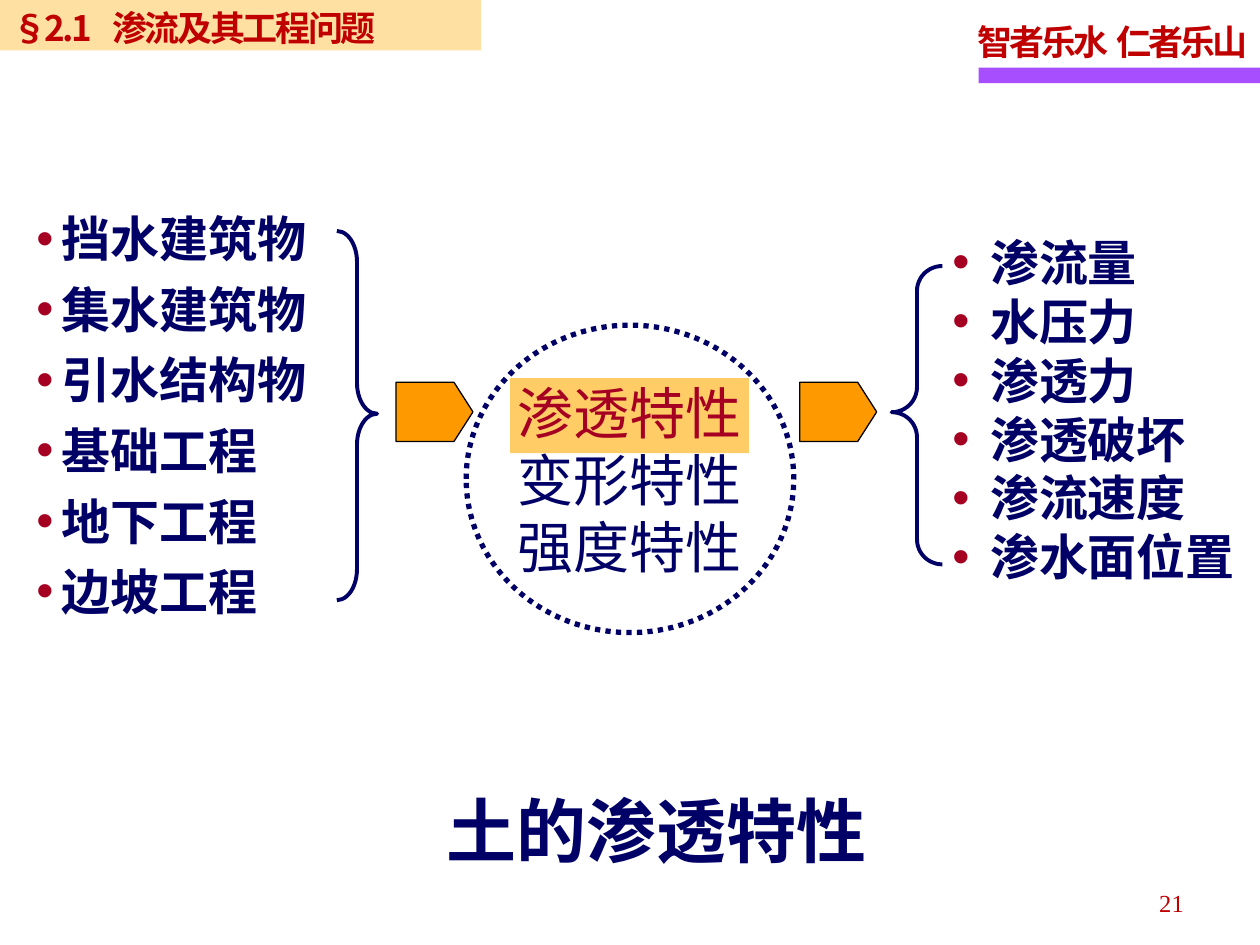
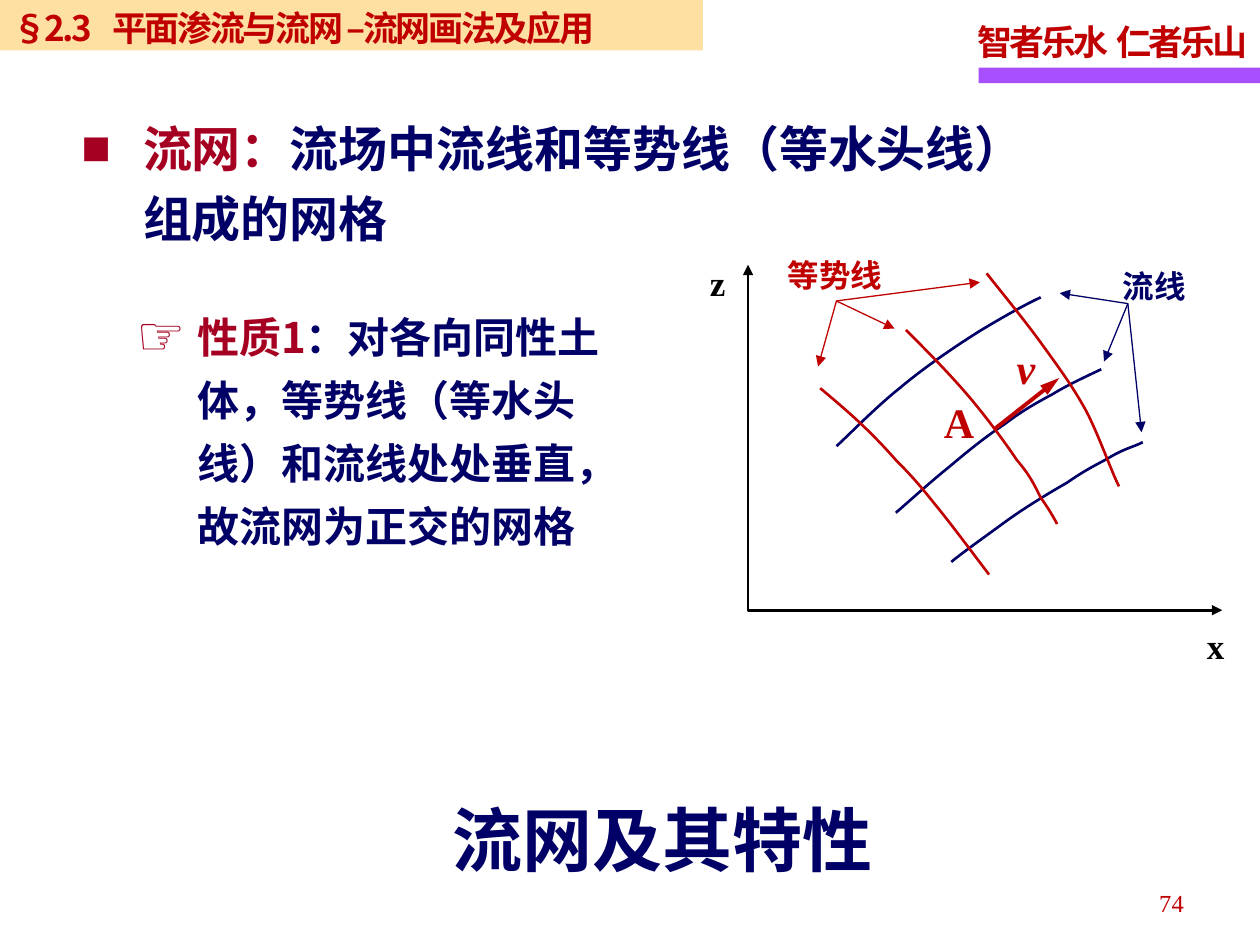
from lxml.etree import SubElement
from pptx import Presentation
from pptx.dml.color import RGBColor
from pptx.enum.dml import MSO_LINE
from pptx.enum.shapes import MSO_CONNECTOR, MSO_SHAPE
from pptx.enum.text import MSO_ANCHOR, PP_ALIGN
from pptx.oxml.ns import qn
from pptx.util import Pt

NAVY = RGBColor(0x00, 0x00, 0x66)
RED = RGBColor(0xC0, 0x00, 0x00)
CRIMSON = RGBColor(0xA5, 0x00, 0x21)
AMBER = RGBColor(0xFF, 0xCC, 0x66)
ORANGE = RGBColor(0xFF, 0x99, 0x00)
PURPLE = RGBColor(0xA7, 0x4F, 0xFF)
BLACK = RGBColor(0x00, 0x00, 0x00)

SERIF = "Times New Roman"
SANS = "Noto Sans CJK SC"
BOTH_ENDS = ("headEnd", "tailEnd")

# Each curve is a start point followed by three Bezier points per segment.
FLOW_LINES = [
    [(478, 254.9), (483.8, 249.8), (500.4, 232.6), (514.1, 221.8),
     (527.8, 210.2), (545.8, 198), (559.4, 189.4),
     (573.8, 180.7), (586.8, 173.5), (594.7, 169.9)],
    [(511.9, 293), (517, 288.7), (532.1, 275), (542.9, 266.4),
     (553, 257.8), (563.8, 249.1), (573.8, 242.6),
     (583.2, 235.4), (591.8, 230.4), (601.2, 225.4),
     (610.6, 219.6), (623.5, 213.8), (629.3, 211)],
    [(543.6, 321.1), (548.6, 316.8), (563.8, 306), (574.6, 298.1),
     (585.4, 290.2), (599.8, 281.5), (609.8, 275.8),
     (619.2, 269.3), (623.5, 267.1), (632.9, 262.1),
     (642.2, 256.3), (647.3, 255.6), (653, 252.7)],
]
EQUIPOTENTIALS = [
    [(468.7, 221.8), (482.4, 233.3), (496.1, 244.8), (511.9, 262.8),
     (523.4, 274.3), (527.8, 280.1), (537.1, 291.6),
     (545.8, 302.4), (560.2, 321.8), (565.2, 328.3)],
    [(563.8, 156.2), (568.8, 162.7), (585.4, 182.9), (594.7, 195.8),
     (604.1, 208.8), (612.7, 220.3), (620.6, 234.7),
     (627.8, 248.4), (635, 269.3), (639.4, 277.9)],
    [(517.7, 188.6), (528.5, 199.4), (539.3, 210.2), (550.1, 222.5),
     (560.9, 234.7), (573.8, 252), (581, 262.8),
     (589, 272.2), (591.1, 277.2), (594.7, 284.4),
     (599, 290.2), (602.6, 296.6), (604.1, 299.5)],
]


def add_bullet(p, char, indent, size=100):
    pPr = p._p.get_or_add_pPr()
    pPr.set("marL", str(Pt(indent)))
    pPr.set("indent", str(-Pt(indent)))
    color = SubElement(pPr, qn("a:buClr"))
    SubElement(color, qn("a:srgbClr"), val=str(CRIMSON))
    SubElement(pPr, qn("a:buSzPct"), val=str(size * 1000))
    SubElement(pPr, qn("a:buFont"), typeface="Arial")
    SubElement(pPr, qn("a:buChar"), char=char)


def add_tab(p, pos):
    tabs = SubElement(p._p.get_or_add_pPr(), qn("a:tabLst"))
    SubElement(tabs, qn("a:tab"), pos=str(Pt(pos)), algn="l")


def write(sp, paragraphs, size=20, font=SERIF, color=NAVY, bold=True, italic=False,
          align=PP_ALIGN.LEFT, anchor=MSO_ANCHOR.TOP, inset=(7.2, 3.6), wrap=False,
          line=None, bullet=None, tab=None, track=None):
    """Fill a shape; a paragraph is a string or a list of (text, color) runs."""
    tf = sp.text_frame
    tf.word_wrap = wrap
    tf.vertical_anchor = anchor
    tf.margin_left = tf.margin_right = Pt(inset[0])
    tf.margin_top = tf.margin_bottom = Pt(inset[1])
    for i, runs in enumerate(paragraphs):
        p = tf.add_paragraph() if i else tf.paragraphs[0]
        if bullet:
            add_bullet(p, *bullet)
        if tab:
            add_tab(p, tab)
        p.alignment = align
        if line:
            p.line_spacing = line
        for text, run_color in [(runs, color)] if isinstance(runs, str) else runs:
            r = p.add_run()
            r.text = text
            f = r.font
            f.size, f.bold, f.italic = Pt(size), bold, italic
            f.color.rgb = run_color
            f.name = font
            rPr = r._r.get_or_add_rPr()
            SubElement(rPr, qn("a:ea"), typeface=SANS)
            if track:
                rPr.set("spc", str(round(track * 100)))


def add_text(s, box, paragraphs, **fmt):
    sp = s.shapes.add_textbox(*map(Pt, box))
    write(sp, paragraphs, **fmt)


def add_shape(s, kind, box, fill=None, line=None, width=1, adjust=(), alpha=None):
    sp = s.shapes.add_shape(kind, *map(Pt, box))
    sp.shadow.inherit = False
    for i, value in enumerate(adjust):
        sp.adjustments[i] = value
    if fill is None:
        sp.fill.background()
    else:
        sp.fill.solid()
        sp.fill.fore_color.rgb = fill
    if alpha:
        color = sp._element.spPr.find(".//" + qn("a:srgbClr"))
        SubElement(color, qn("a:alpha"), val=str(alpha * 1000))
    if line is None:
        sp.line.fill.background()
    else:
        sp.line.color.rgb = line
        sp.line.width = Pt(width)
    return sp


def style_line(sp, color, width, ends, length="med"):
    sp.line.color.rgb = color
    sp.line.width = Pt(width)
    for end in ends:
        SubElement(sp.line._get_or_add_ln(), qn("a:" + end), type="triangle", len=length)


def add_arrow(s, start, end, color, width, length="med"):
    c = s.shapes.add_connector(MSO_CONNECTOR.STRAIGHT, *map(Pt, start + end))
    style_line(c, color, width, ["tailEnd"], length)
    SubElement(c._element.spPr, qn("a:effectLst"))


def add_polyline(s, points, color, width, ends=()):
    first, *rest = [(Pt(x), Pt(y)) for x, y in points]
    builder = s.shapes.build_freeform(*first)
    builder.add_line_segments(rest, close=False)
    sp = builder.convert_to_shape()
    sp.shadow.inherit = False
    sp.fill.background()
    style_line(sp, color, width, ends)
    return sp


def add_curve(s, points, color, width):
    """Polyline whose segments are merged, three at a time, into Bezier segments."""
    sp = add_polyline(s, points, color, width)
    outline = sp._element.spPr.find(".//" + qn("a:path"))
    segments = outline.findall(qn("a:lnTo"))
    for i in range(0, len(segments), 3):
        bezier = SubElement(outline, qn("a:cubicBezTo"))
        for segment in segments[i:i + 3]:
            bezier.append(segment[0])
            outline.remove(segment)


def add_frame(prs, section, band_width, title, title_box, number):
    """New slide with motto, section band, bottom title and page number."""
    s = prs.slides.add_slide(prs.slide_layouts[6])
    add_shape(s, MSO_SHAPE.RECTANGLE, (559.2, 38.6, 160.8, 9), PURPLE)
    add_text(s, (551.5, 4.5, 170, 35), ["智者乐水\t仁者乐山"], color=RED, line=1.15,
             track=-1.7, tab=79.5)
    add_text(s, title_box, [title], size=40)
    add_text(s, (515.5, 501.4, 168, 29), [number], size=14, color=RED, bold=False,
             align=PP_ALIGN.RIGHT, line=1.15, wrap=True)
    band = add_shape(s, MSO_SHAPE.RECTANGLE, (0, 0, band_width, 28.8), AMBER, alpha=60)
    write(band, [section], font=SANS, color=RED, inset=(6.9, 3.6), track=-1.4, tab=57.3)
    return s


def build_seepage(prs):
    s = add_frame(prs, "§2.1\t渗流及其工程问题", 275, "土的渗透特性",
                  (248.2, 446.5, 265, 55.5), "21")
    add_shape(s, MSO_SHAPE.RECTANGLE, (291.5, 216, 136.5, 43), AMBER)
    add_text(s, (544.2, 132.9, 164, 204),
             ["渗流量", "水压力", "渗透力", "渗透破坏", "渗流速度", "渗水面位置"],
             size=28, inset=(0, 0), wrap=True, bullet=("•", 21.6))
    add_text(s, (13.7, 109, 191, 250),
             ["挡水建筑物", "集水建筑物", "引水结构物", "基础工程", "地下工程", "边坡工程"],
             size=28, line=1.2, bullet=("•", 14.4))
    circle = add_shape(s, MSO_SHAPE.OVAL, (266.4, 185.8, 187.2, 175.7), line=NAVY, width=3)
    circle.line.dash_style = MSO_LINE.ROUND_DOT
    write(circle, [[("渗透特性", CRIMSON)], "变形特性", "强度特性"], size=32, font=SANS,
          bold=False, align=PP_ALIGN.CENTER, anchor=MSO_ANCHOR.MIDDLE, inset=(0, 0))
    add_shape(s, MSO_SHAPE.RIGHT_BRACE, (192.5, 132, 23, 211), line=NAVY, width=2.25,
              adjust=(0.77, 0.495))
    add_shape(s, MSO_SHAPE.LEFT_BRACE, (509.5, 152, 29, 170.5), line=NAVY, width=2.25,
              adjust=(0.49, 0.49))
    for left in (226.3, 457):
        add_shape(s, MSO_SHAPE.PENTAGON, (left, 218.5, 44, 33.8), ORANGE, BLACK, 0.75,
                  adjust=(0.32,))


def build_flow_net(prs):
    s = add_frame(prs, "§2.3\t平面渗流与流网 –流网画法及应用", 401.7, "流网及其特性",
                  (251.5, 451.5, 255.5, 55.5), "74")
    add_text(s, (70.9, 167.4, 294.5, 152.5),
             [[("性质1", CRIMSON),
               ("：对各向同性土体，等势线（等水头线）和流线处处垂直，故流网为正交的网格", NAVY)]],
             size=24, font=SANS, wrap=True, line=1.25, bullet=("☞", 34.6, 130))
    add_text(s, (39.5, 57.3, 576.5, 88.5),
             [[("流网：", CRIMSON), ("流场中流线和等势线（等水头线）组成的网格", NAVY)]],
             size=28, font=SANS, wrap=True, line=1.2, bullet=("■", 35.2))

    add_polyline(s, [(427.5, 151.3), (427.5, 348.7), (698.4, 348.7)], BLACK, 1.5, BOTH_ENDS)
    for name, left, top in (("z", 396.2, 141.3), ("x", 680.3, 349)):
        add_text(s, (left, top, 28.5, 35.3), [name], color=BLACK, inset=(9.4, 4.3), line=1.15)
    for color, curves in ((NAVY, FLOW_LINES), (RED, EQUIPOTENTIALS)):
        for points in curves:
            add_curve(s, points, color, 1.5)

    callouts = [
        ("等势线", RED, (444.2, 140.4, 71.3, 28.8),
         [(467.5, 209.5), (478, 172), (560, 161.3)], (511.2, 187.8)),
        ("流线", NAVY, (635.8, 146.2, 52.6, 28.8),
         [(605.5, 167.5), (644.5, 173.5), (652.3, 247)], (630.9, 206.6)),
    ]
    for label, color, box, leader, target in callouts:
        add_text(s, box, [label], size=18, color=color, inset=(5.8, 2.9), line=1.15)
        add_polyline(s, leader, color, 0.75, BOTH_ENDS)
        add_arrow(s, leader[1], target, color, 0.75)

    add_arrow(s, (568.8, 244.8), (605.3, 216), RED, 2.25, "lg")
    add_text(s, (573.8, 192.3, 25.2, 36), ["v"], size=24, color=RED, italic=True)
    add_text(s, (532.2, 223.2, 32.4, 36), ["A"], size=24, color=RED)


def main():
    prs = Presentation()
    prs.slide_width, prs.slide_height = Pt(720), Pt(540)
    build_seepage(prs)
    build_flow_net(prs)
    prs.save("out.pptx")


if __name__ == "__main__":
    main()
